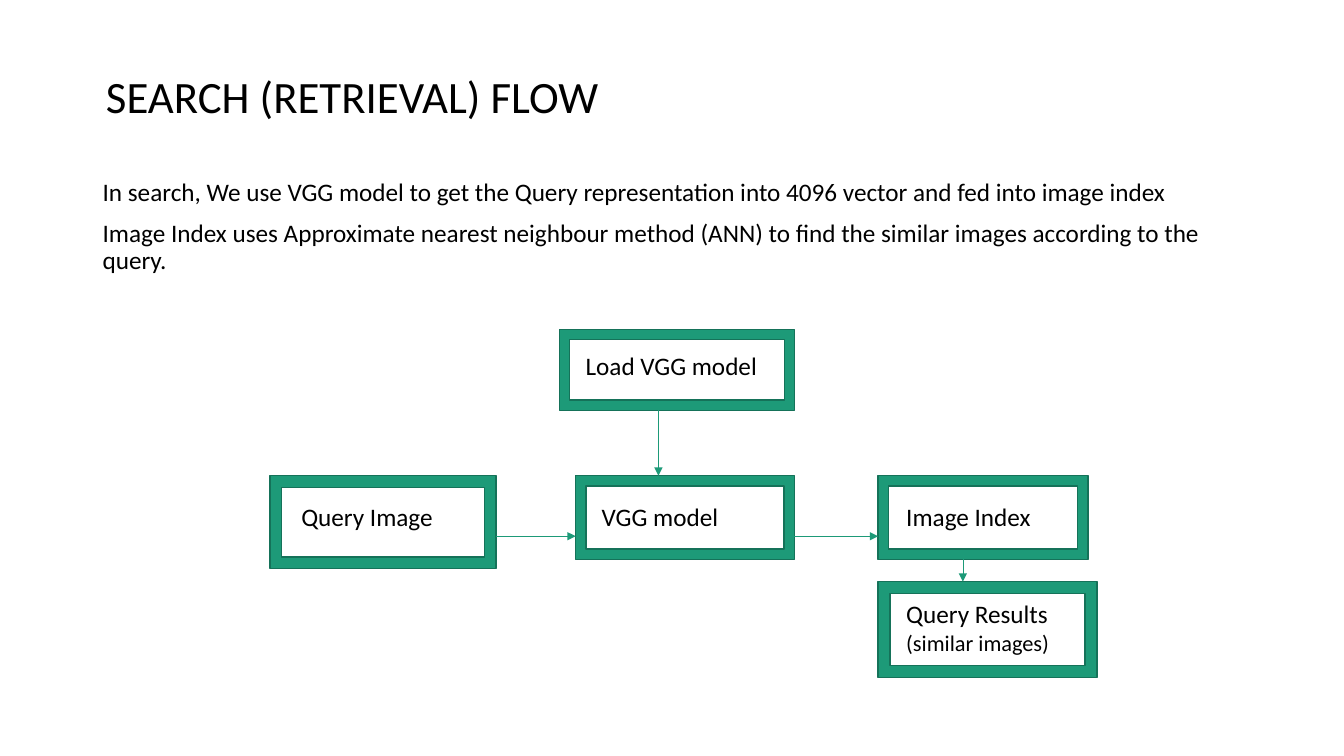
from lxml.etree import SubElement
from pptx import Presentation
from pptx.dml.color import RGBColor
from pptx.enum.shapes import MSO_CONNECTOR, MSO_SHAPE
from pptx.enum.text import MSO_ANCHOR, PP_ALIGN
from pptx.oxml.ns import qn
from pptx.util import Inches, Pt

BLACK = RGBColor(0x00, 0x00, 0x00)
GREEN = RGBColor(0x1D, 0x9A, 0x78)
DARK_GREEN = RGBColor(0x15, 0x72, 0x59)
FONT = "Calibri"

TITLE = "SEARCH (RETRIEVAL) FLOW"
EXPLANATION = [
    "In search, We use VGG model to get the Query representation into 4096 vector "
    "and fed into image index",
    "Image Index uses Approximate nearest neighbour method (ANN) to find the similar "
    "images according to the query.",
]

ROW_TOP = 4.72
INDEX_LEFT = 8.71
# Frame box, label box (offset from the frame, then size), label runs with sizes
STEPS = [
    ((5.55, 3.27, 2.33, 0.8), (0.16, 0.16, 2.0, 0.4), [("Load VGG model", 18)]),
    ((5.71, ROW_TOP, 2.17, 0.83), (0.16, 0.2, 1.84, 0.41), [("VGG model", 18)]),
    ((2.68, ROW_TOP, 2.24, 0.92), (0.21, 0.2, 1.83, 0.4), [("Query Image", 18)]),
    ((INDEX_LEFT, ROW_TOP, 2.08, 0.83), (0.18, 0.2, 1.76, 0.41), [("Image Index", 18)]),
    ((INDEX_LEFT, 5.77, 2.17, 0.95), (0.18, 0.12, 1.76, 0.67),
     [("Query Results ", 18), ("(similar images)", 16)]),
]
ARROW_Y = 5.32
ARROWS = [
    ((6.53, 4.07), (6.53, ROW_TOP)),
    ((4.92, ARROW_Y), (5.71, ARROW_Y)),
    ((7.88, ARROW_Y), (INDEX_LEFT, ARROW_Y)),
    ((9.55, 5.55), (9.55, 5.77)),
]


def add_span(para, text, size):
    span = para.add_run()
    span.text = text
    span.font.name = FONT
    span.font.size = Pt(size)
    span.font.color.rgb = BLACK


def add_text(page, box, paragraphs, anchor=MSO_ANCHOR.TOP):
    """Add a wrapping text box; each paragraph is a list of (text, size) runs."""
    frame = page.shapes.add_textbox(*map(Inches, box)).text_frame
    frame.word_wrap = True
    frame.vertical_anchor = anchor
    for index, spans in enumerate(paragraphs):
        para = frame.add_paragraph() if index else frame.paragraphs[0]
        for text, size in spans:
            add_span(para, text, size)
    return frame.paragraphs


def add_title(page, box):
    para = add_text(page, box, [[(TITLE, 32)]], MSO_ANCHOR.MIDDLE)[0]
    para.alignment = PP_ALIGN.CENTER
    para.line_spacing = 0.9


def add_explanation(page, box):
    for para in add_text(page, box, [[(text, 18)] for text in EXPLANATION]):
        para.line_spacing = 0.9
        para.space_before = Pt(10)


def add_step(page, box, label_box, spans):
    shape = page.shapes.add_shape(MSO_SHAPE.FRAME, *map(Inches, box))
    shape.shadow.inherit = False
    shape.fill.solid()
    shape.fill.fore_color.rgb = GREEN
    shape.line.color.rgb = DARK_GREEN
    shape.line.width = Pt(1)
    left, top = box[:2]
    dx, dy, width, height = label_box
    add_text(page, (left + dx, top + dy, width, height), [spans])


def add_arrow(page, start, end):
    arrow = page.shapes.add_connector(MSO_CONNECTOR.STRAIGHT, *map(Inches, start + end))
    arrow.line.color.rgb = GREEN
    arrow.line.width = Pt(0.5)
    properties = arrow._element.spPr
    SubElement(properties.find(qn("a:ln")), qn("a:tailEnd"), type="triangle")
    SubElement(properties, qn("a:effectLst"))


def add_flow(page):
    for step in STEPS:
        add_step(page, *step)
    for start, end in ARROWS:
        add_arrow(page, start, end)


def main():
    deck = Presentation()
    deck.slide_width, deck.slide_height = Inches(13.33), Inches(7.5)
    page = deck.slides.add_slide(deck.slide_layouts[6])
    add_title(page, (0.92, 0.48, 5.15, 1.01))
    add_explanation(page, (0.92, 1.73, 11.5, 4.99))
    add_flow(page)
    deck.save("out.pptx")


if __name__ == "__main__":
    main()
